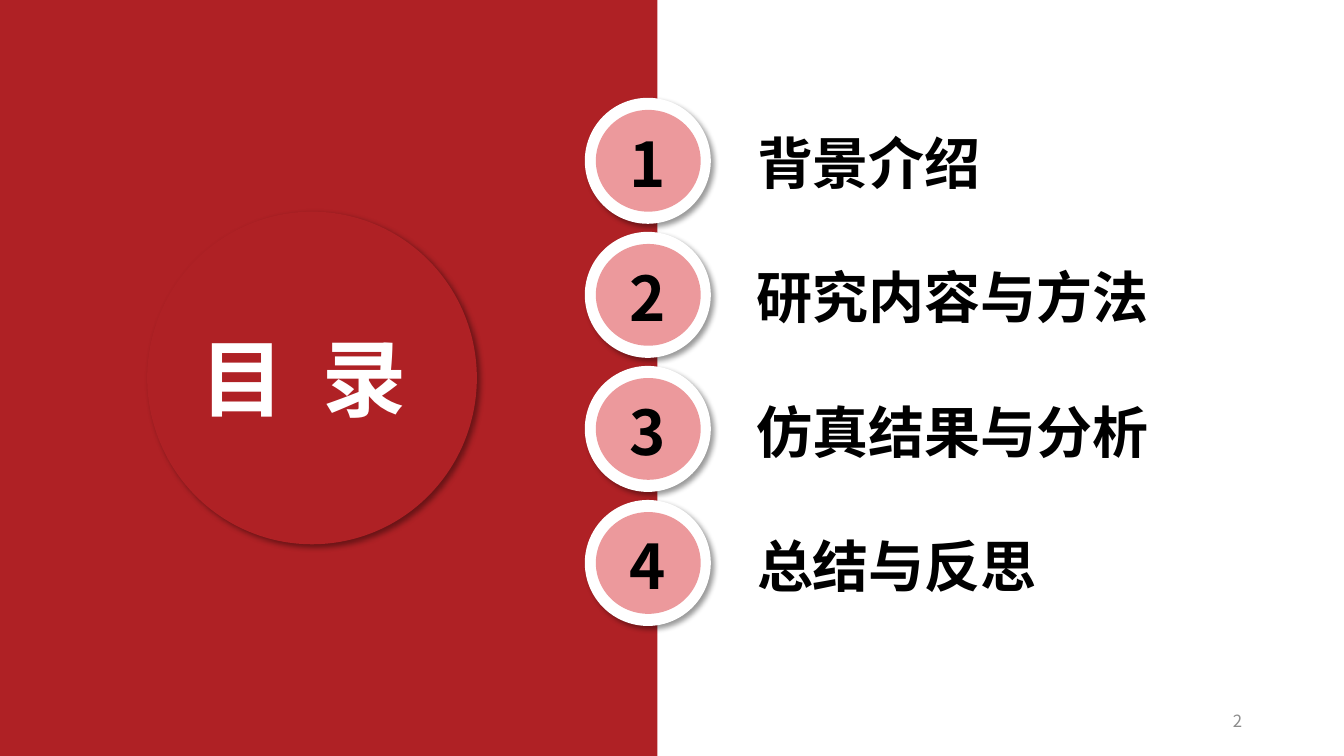
from lxml.etree import SubElement
from pptx import Presentation
from pptx.dml.color import RGBColor
from pptx.enum.shapes import MSO_SHAPE
from pptx.enum.text import MSO_ANCHOR, MSO_AUTO_SIZE, PP_ALIGN
from pptx.oxml import parse_xml
from pptx.oxml.ns import nsdecls, qn
from pptx.util import Inches, Pt

RED = RGBColor(0xAF, 0x21, 0x25)
PINK = RGBColor(0xEC, 0x99, 0x9C)
WHITE = RGBColor(0xFF, 0xFF, 0xFF)
BLACK = RGBColor(0, 0, 0)
GRAY = RGBColor(0x8C, 0x8C, 0x8C)
FONT = "Noto Sans CJK SC"
SHADOW = (
    f'<a:effectLst {nsdecls("a")}>'
    '<a:outerShdw blurRad="50800" dist="38100" dir="2700000" algn="tl" rotWithShape="0">'
    '<a:srgbClr val="000000"><a:alpha val="40000"/></a:srgbClr>'
    '</a:outerShdw></a:effectLst>'
)

prs = Presentation()
prs.slide_width = Inches(13.33)
prs.slide_height = Inches(7.5)
slide = prs.slides.add_slide(prs.slide_layouts[5])
shapes = slide.shapes


def draw(kind, left, top, width, height, color, shadow=False):
    shape = shapes.add_shape(kind, Inches(left), Inches(top), Inches(width), Inches(height))
    shape.fill.solid()
    shape.fill.fore_color.rgb = color
    shape.line.fill.background()
    shape.shadow.inherit = False
    if shadow:
        props = shape._element.spPr
        props.remove(props.find(qn("a:effectLst")))
        props.append(parse_xml(SHADOW))


def write(box, text, size, color, bold=True):
    """Fill a box with one line and return its paragraph."""
    frame = box.text_frame
    frame.text = text
    frame.word_wrap = False
    frame.auto_size = MSO_AUTO_SIZE.SHAPE_TO_FIT_TEXT
    frame.vertical_anchor = MSO_ANCHOR.TOP
    para = frame.paragraphs[0]
    para.alignment = PP_ALIGN.LEFT
    font = para.font
    font.name = FONT
    font.size = Pt(size)
    font.bold = bold
    font.color.rgb = color
    SubElement(font._element, qn("a:ea")).set("typeface", FONT)
    return para


# Red panel with the heading
draw(MSO_SHAPE.RECTANGLE, 0, 0, 6.52, 7.5, RED)
draw(MSO_SHAPE.OVAL, 1.46, 2.1, 3.27, 3.3, RED, shadow=True)
draw(MSO_SHAPE.OVAL, 1.73, 2.42, 2.71, 2.66, RED)

title = shapes.title
title.left, title.top = Inches(1.89), Inches(3.19)
title.width, title.height = Inches(2.39), Inches(1.11)
head = write(title, "目 录", 60, WHITE)
head.font._element.set("spc", "670")  # widens the gap between the two characters
shapes._spTree.append(title._element)  # brings the heading above the disc

# Page number
page = shapes.add_textbox(Inches(9.42), Inches(6.95), Inches(3), Inches(0.4))
write(page, "2", 12, GRAY, bold=False).alignment = PP_ALIGN.RIGHT
page.text_frame.word_wrap = True
page.text_frame.auto_size = MSO_AUTO_SIZE.NONE
page.text_frame.vertical_anchor = MSO_ANCHOR.MIDDLE

# Numbered topics
topics = ["背景介绍", "研究内容与方法", "仿真结果与分析", "总结与反思"]
for i, topic in enumerate(topics):
    top = 0.97 + 1.33 * i
    draw(MSO_SHAPE.OVAL, 5.8, top, 1.25, 1.25, WHITE, shadow=True)
    draw(MSO_SHAPE.OVAL, 5.91, top + 0.12, 1.04, 1.01, PINK)
    num = shapes.add_textbox(Inches(6.14), Inches(top + 0.23), Inches(0.75), Inches(1.09))
    write(num, str(i + 1), 44, BLACK)
    width = 0.56 * len(topic) + 0.21
    label = shapes.add_textbox(Inches(7.41), Inches(top + 0.26), Inches(width), Inches(0.77))
    write(label, topic, 40, BLACK)

prs.save("out.pptx")
